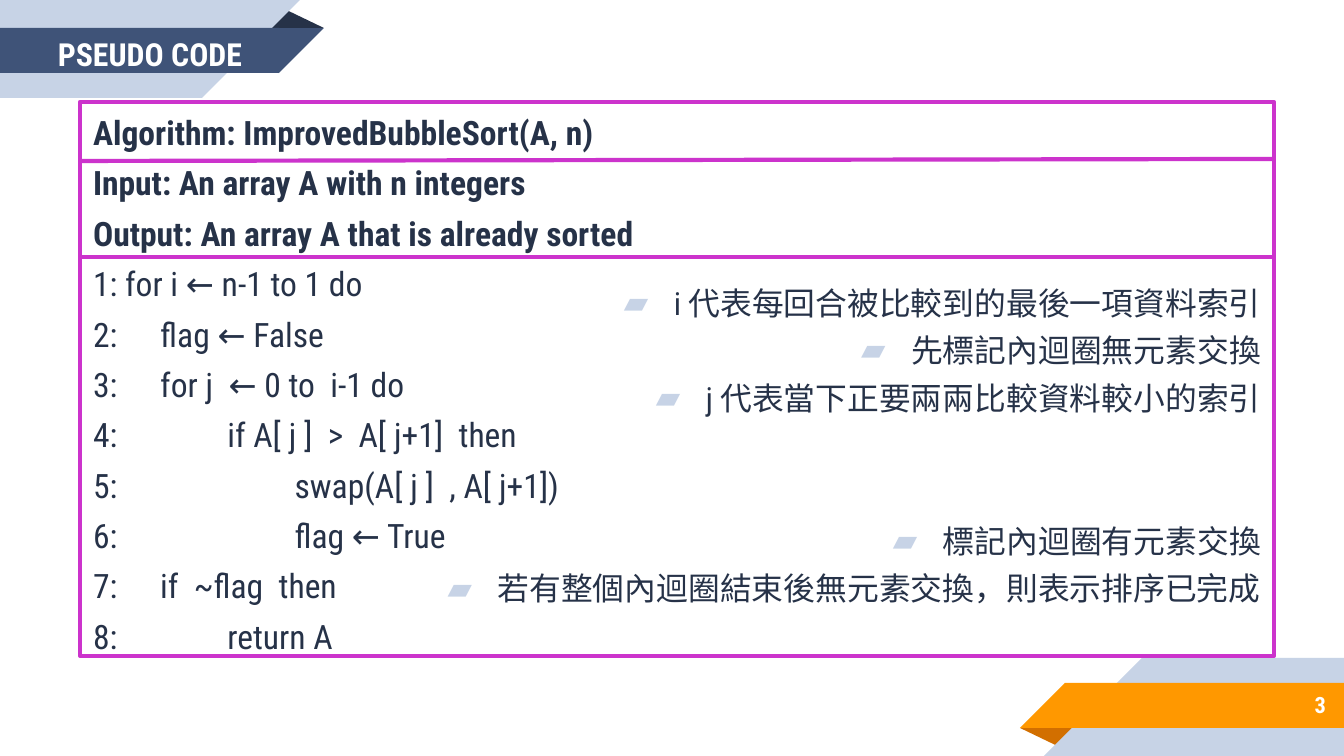
from lxml import etree
from pptx import Presentation
from pptx.dml.color import RGBColor
from pptx.enum.shapes import MSO_CONNECTOR, MSO_SHAPE
from pptx.enum.text import MSO_ANCHOR, PP_ALIGN
from pptx.oxml.ns import qn
from pptx.util import Pt

EMU_PER_PX = 914400 / 134.4
WIDTH, HEIGHT = 1344, 756
RECTANGLE = MSO_SHAPE.RECTANGLE
RIGHT_TRIANGLE = MSO_SHAPE.RIGHT_TRIANGLE
TRIANGLE = MSO_SHAPE.ISOSCELES_TRIANGLE
STRAIGHT = MSO_CONNECTOR.STRAIGHT
MIDDLE = MSO_ANCHOR.MIDDLE
LEFT, CENTER, RIGHT = PP_ALIGN.LEFT, PP_ALIGN.CENTER, PP_ALIGN.RIGHT

FONT = "Roboto Condensed"
INK, WHITE, PALE = "263248", "FFFFFF", "C7D3E6"
NAVY, ORANGE, RUST, MAGENTA = "3F5378", "FF9800", "D26F00", "CC33CC"

HEADINGS = [
    "Algorithm: ImprovedBubbleSort(A, n)",
    "Input: An array A with n integers",
    "Output: An array A that is already sorted",
]
STEPS = [
    "1: for i ← n-1 to 1 do",
    "2:\tflag ← False",
    "3:\tfor j  ← 0 to  i-1 do",
    "4:\t\tif A[ j ]  >  A[ j+1]  then",
    "5:\t\t\tswap(A[ j ]  , A[ j+1])",
    "6:\t\t\tflag ← True",
    "7:\tif  ~flag  then",
    "8:\t\treturn A",
]
COMMENTS = [
    "i 代表每回合被比較到的最後一項資料索引",
    "先標記內迴圈無元素交換",
    "j 代表當下正要兩兩比較資料較小的索引",
    "標記內迴圈有元素交換",
    "若有整個內迴圈結束後無元素交換，則表示排序已完成",
]


def px(length):
    return round(length * EMU_PER_PX)


def color(value):
    return RGBColor.from_string(value)


class SlideBuilder:
    """Holds the slide and the shared text and line style."""

    def __init__(self, slide):
        self.slide = slide

    def shape(self, kind, bounds, fill):
        shape = self.slide.shapes.add_shape(kind, *map(px, bounds))
        shape.shadow.inherit = False
        shape.fill.solid()
        shape.fill.fore_color.rgb = color(fill)
        shape.line.fill.background()
        return shape

    def ribbon(self, band, fold, bottom=False):
        """Draws the top-left ribbon, or the same one turned half round at the bottom right."""
        parts = [
            (TRIANGLE, (266, 9, 58, 19), fold),
            (RECTANGLE, (0, 0, 202, 98), PALE),
            (RIGHT_TRIANGLE, (202, 0, 98, 98), PALE),
            (RECTANGLE, (0, 28, 279, 45), band),
            (RIGHT_TRIANGLE, (279, 28, 45, 45), band),
        ]
        for kind, (left, top, width, height), fill in parts:
            if bottom:
                left, top = WIDTH - left - width, HEIGHT - top - height
            shape = self.shape(kind, (left, top, width, height), fill)
            if kind == TRIANGLE:
                shape.adjustments[0] = 0.32
                shape.rotation = 180 if bottom else 0
            elif kind == RIGHT_TRIANGLE:
                shape.rotation = 0 if bottom else 180
                shape._element.spPr.find(qn("a:xfrm")).set("flipH", "1")

    def text(self, bounds, lines, size, ink=INK, align=LEFT, bold=False, spacing=1.0):
        box = self.slide.shapes.add_textbox(*map(px, bounds))
        frame = box.text_frame
        frame.word_wrap = True
        frame.vertical_anchor = MIDDLE
        frame.margin_left = frame.margin_right = px(13)
        frame.margin_top = frame.margin_bottom = px(13)
        frame.text = "\n".join(lines)
        for para in frame.paragraphs:
            para.alignment = align
            para.line_spacing = spacing
            for span in para.runs:
                span.font.name = FONT
                span.font.size = Pt(size)
                span.font.bold = bold
                span.font.color.rgb = color(ink)
        return box

    def bullet(self, para):
        properties = para._p.get_or_add_pPr()
        properties.set("marL", str(px(67)))
        properties.set("indent", str(px(-50)))
        tint = etree.SubElement(properties, qn("a:buClr"))
        etree.SubElement(tint, qn("a:srgbClr")).set("val", PALE)
        etree.SubElement(properties, qn("a:buFont")).set("typeface", FONT)
        etree.SubElement(properties, qn("a:buChar")).set("char", "▰")

    def outline(self, line):
        line.color.rgb = color(MAGENTA)
        line.width = Pt(2.25)

    def rule(self, start, end):
        line = self.slide.shapes.add_connector(STRAIGHT, *map(px, start + end))
        self.outline(line.line)
        etree.SubElement(line._element.spPr, qn("a:effectLst"))


def main():
    deck = Presentation()
    deck.slide_width, deck.slide_height = px(WIDTH), px(HEIGHT)
    page = SlideBuilder(deck.slides.add_slide(deck.slide_layouts[6]))

    page.ribbon(NAVY, INK)
    page.ribbon(ORANGE, RUST, bottom=True)
    page.text((1120, 681, 219, 47), ["3"], 12, WHITE, RIGHT, bold=True)

    code = page.text((80, 102, 1194, 554), HEADINGS + STEPS, 18, spacing=1.25)
    page.outline(code.line)
    paragraphs = code.text_frame.paragraphs
    paragraphs[0].space_before = Pt(10)
    for para in paragraphs[:len(HEADINGS)]:
        para.runs[0].font.bold = True

    page.text((27, 30, 246, 47), ["PSEUDO CODE"], 17, WHITE, CENTER, bold=True)
    page.rule((80, 161), (1275, 159))
    page.rule((82, 257), (1272, 257))

    comments = page.text((80, 226, 1194, 429), COMMENTS, 17, align=RIGHT, spacing=1.25)
    paragraphs = comments.text_frame.paragraphs
    paragraphs[3].space_before = Pt(51)  # skips the two uncommented steps
    for para in paragraphs:
        page.bullet(para)

    deck.save("out.pptx")


if __name__ == "__main__":
    main()
